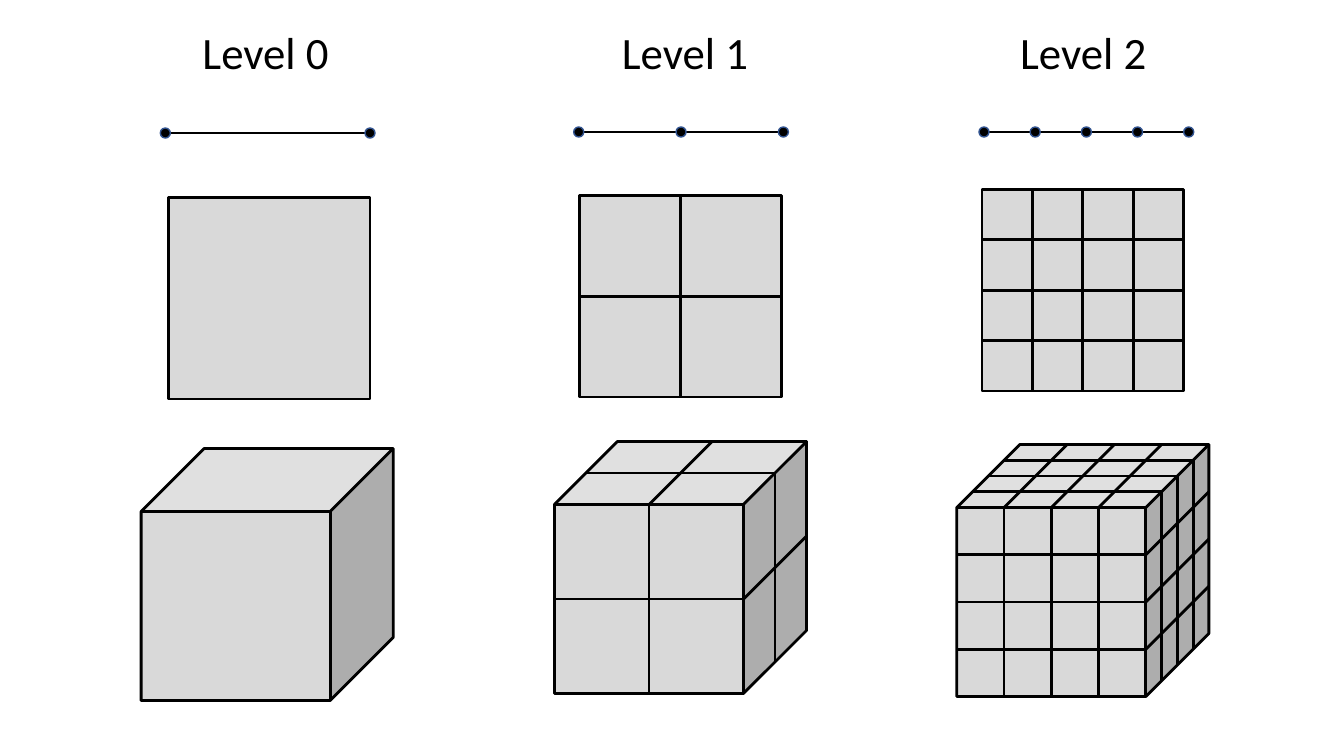
from dataclasses import dataclass

from lxml.etree import SubElement
from pptx import Presentation
from pptx.dml.color import RGBColor
from pptx.enum.shapes import MSO_CONNECTOR as Connector, MSO_SHAPE as Preset
from pptx.enum.text import MSO_AUTO_SIZE as AutoSize, PP_ALIGN as Align
from pptx.oxml.ns import qn
from pptx.util import Inches, Pt

BLACK, GRAY, DOT_EDGE = "000000", "D9D9D9", "325491"
SQUARE_SIDE = 2.0
CUBE_SIDE = 2.5
CUBE_DEPTH = CUBE_SIDE / 4  # default depth of the cube preset
DOT_SIZE = 0.1
DOT_SPAN = 2.03


@dataclass
class Level:
    """One column: its label and the left, top corners of its figures."""
    name: str
    divisions: int
    label_left: float
    first_dot: tuple[float, float]
    square: tuple[float, float]
    cube: tuple[float, float]


LEVELS = [
    Level("Level 0", 1, 1.91, (1.59, 1.27), (1.67, 1.96), (1.4, 4.45)),
    Level("Level 1", 2, 6.07, (5.69, 1.26), (5.75, 1.94), (5.5, 4.38)),
    Level("Level 2", 4, 10.02, (9.71, 1.26), (9.74, 1.88), (9.49, 4.41)),
]


def color(value: str) -> RGBColor:
    """Turn a hex string into a colour."""
    return RGBColor.from_string(value)


def add_solid(shapes, preset, left: float, top: float, size: float,
              fill: str, edge: str = BLACK, weight: float = 2):
    """Add a filled preset shape with equal width and height."""
    shape = shapes.add_shape(preset, Inches(left), Inches(top),
                             Inches(size), Inches(size))
    shape.shadow.inherit = False
    shape.fill.solid()
    shape.fill.fore_color.rgb = color(fill)
    shape.line.color.rgb = color(edge)
    shape.line.width = Pt(weight)


def add_line(shapes, *points: tuple[float, float]):
    """Add straight lines from each point to the next one."""
    for start, end in zip(points, points[1:]):
        line = shapes.add_connector(Connector.STRAIGHT,
                                    *(Inches(n) for n in start + end))
        line.line.color.rgb = color(BLACK)
        line.line.width = Pt(2)
        SubElement(line._element.spPr, qn("a:effectLst"))


def add_label(page, level: Level):
    """Write the name of the level above its column."""
    box = page.shapes.add_textbox(Inches(level.label_left), Inches(0.2),
                                  Inches(1.47), Inches(0.64))
    frame = box.text_frame
    frame.word_wrap = False
    frame.auto_size = AutoSize.SHAPE_TO_FIT_TEXT
    para = frame.paragraphs[0]
    para.alignment = Align.LEFT
    span = para.add_run()
    span.text = level.name
    span.font.color.rgb = color(BLACK)
    for name, value in {"name": "Calibri", "size": Pt(32)}.items():
        setattr(span.font, name, value)


def add_segment(shapes, level: Level):
    """Draw a line with a dot at every division."""
    left, top = level.first_dot
    middle = top + DOT_SIZE / 2
    start = left + DOT_SIZE / 2
    add_line(shapes, (start, middle), (start + DOT_SPAN, middle))
    for step in range(level.divisions + 1):
        add_solid(shapes, Preset.OVAL, left + DOT_SPAN * step / level.divisions,
                  top, DOT_SIZE, BLACK, DOT_EDGE, 1)


def add_square(shapes, level: Level):
    """Draw a square divided into equal cells."""
    left, top = level.square
    right, bottom = left + SQUARE_SIDE, top + SQUARE_SIDE
    add_solid(shapes, Preset.RECTANGLE, left, top, SQUARE_SIDE, GRAY)
    for step in range(1, level.divisions):
        offset = SQUARE_SIDE * step / level.divisions
        add_line(shapes, (left + offset, top), (left + offset, bottom))
        add_line(shapes, (left, top + offset), (right, top + offset))


def add_cube(shapes, level: Level):
    """Draw a cube whose three visible faces are divided into equal cells."""
    left, top = level.cube
    right, bottom = left + CUBE_SIDE, top + CUBE_SIDE
    face = CUBE_SIDE - CUBE_DEPTH
    front_top, front_right = top + CUBE_DEPTH, left + face
    add_solid(shapes, Preset.CUBE, left, top, CUBE_SIDE, GRAY)
    for step in range(1, level.divisions):
        along = face * step / level.divisions
        back = CUBE_DEPTH * step / level.divisions
        # Up the front face and back over the top face
        add_line(shapes, (left + along, bottom), (left + along, front_top),
                 (left + along + CUBE_DEPTH, top))
        # Across the front face and back along the right face
        add_line(shapes, (left, front_top + along),
                 (front_right, front_top + along), (right, top + along))
        # Across the top face and down the right face
        add_line(shapes, (left + back, front_top - back),
                 (front_right + back, front_top - back),
                 (front_right + back, bottom - back))


deck = Presentation()
deck.slide_width, deck.slide_height = Inches(13.33), Inches(7.5)
page = deck.slides.add_slide(deck.slide_layouts[6])

for level in LEVELS:
    add_label(page, level)
    for draw in (add_segment, add_square, add_cube):
        draw(page.shapes.add_group_shape().shapes, level)

deck.save("out.pptx")
